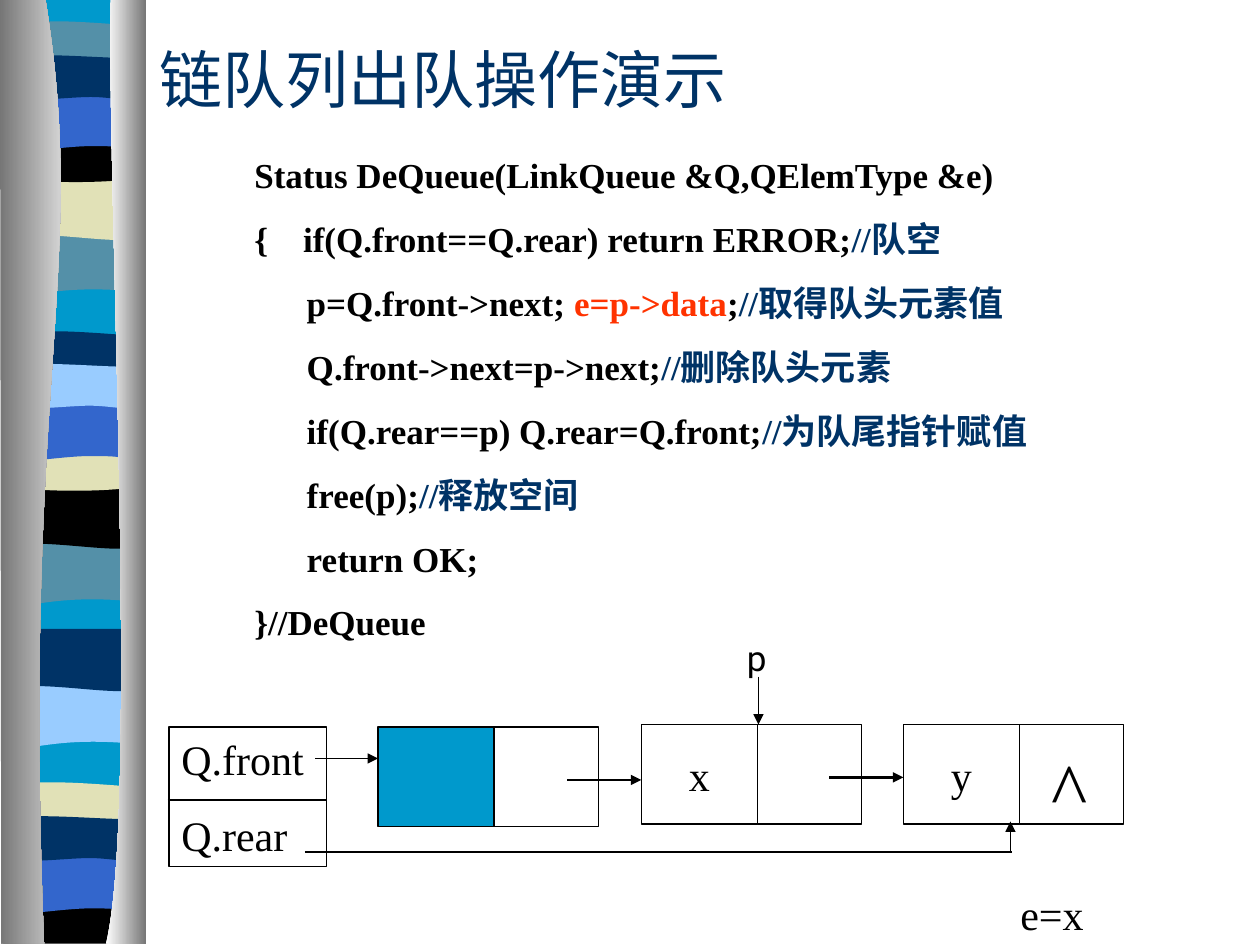
from dataclasses import dataclass

from lxml import etree
from pptx import Presentation
from pptx import util as u
from pptx.dml.color import RGBColor
from pptx.enum import shapes, text
from pptx.oxml.ns import qn

COLORS = {
    "black": "000000", "white": "FFFFFF", "gray": "767676", "navy": "003366",
    "cyan": "0099CC", "slate": "5490A8", "sand": "E1E1B7", "blue": "3366CC",
    "sky": "99CCFF", "red": "FF3300",
}
SERIF = "Times New Roman"
W = 1.08

OUTLINES = {
    "swell": [(W, 0), (W, .47), (.33, .39, .18, .55, 0, .47), (0, 0)],
    "ripple": [(W, 0), (W, .47), (.9, .55, .33, .41, 0, .47), (0, 0)],
    "lens": [(W, .05), (W, .29), (.9, .33, .18, .33, 0, .29), (0, .05),
             (.06, 0, .23, .01, .41, .01), (.59, .01, .94, .04, W, .05)],
    "bowl": [(W, 0), (W, .32), (.9, .38, .18, .38, 0, .32), (0, 0),
             (.66, .05, .85, 0, W, 0)],
    "floor": [(W, 0), (W, .37), (0, .37), (0, 0), (.66, .05, .85, 0, W, 0)],
    "arch": [(W, 0), (W, .47), (.91, .42, .84, .42, .66, .42),
             (.48, .42, .16, .47, 0, .47), (0, 0)],
    "cap": [(W, .05), (W, .36), (1.01, .41, .84, .36, .66, .36),
            (.48, .36, .11, .41, 0, .36), (0, .05),
            (.15, 0, .73, .05, .91, .05), (1.09, .05, 1.04, .05, W, .05)],
    "base": [(W, 0), (W, 7.48), (0, 7.48), (0, 0)],
    "left edge": [(.36, 0), (.71, 2.16, .17, 2.96, .35, 7.5), (.01, 7.5), (0, 0)],
    "right edge": [(.04, 0), (0, 1.26, .27, 6.47, 0, 7.5), (.32, 7.5), (.32, 0)],
}


@dataclass
class Band:
    outline: str
    left: float
    top: float
    color: str


@dataclass
class Run:
    text: str
    color: str = "black"


@dataclass
class Style:
    size: float
    font: str = SERIF
    bold: bool = False
    before: float = 0
    align: text.PP_ALIGN = text.PP_ALIGN.LEFT
    anchor: text.MSO_ANCHOR = text.MSO_ANCHOR.TOP
    wrap: bool = True


@dataclass
class Label:
    box: tuple
    paragraphs: list
    style: Style


@dataclass
class Node:
    left: float
    top: float
    value: str = ""
    fill: str = ""


@dataclass
class Link:
    start: tuple
    end: tuple
    width: float = 0.75
    arrow: bool = True


BANDS = [
    Band("base", .06, -.01, "cyan"),
    Band("swell", .06, 1.85, "slate"), Band("ripple", .06, 1.41, "sand"),
    Band("lens", .06, .16, "slate"), Band("bowl", .06, 1.08, "black"),
    Band("arch", .06, .74, "blue"), Band("cap", .06, .41, "navy"),
    Band("swell", .05, 4.31, "slate"), Band("ripple", .05, 3.86, "black"),
    Band("lens", .05, 2.62, "navy"), Band("bowl", .05, 3.53, "sand"),
    Band("arch", .05, 3.2, "blue"), Band("cap", .05, 2.86, "sky"),
    Band("swell", .06, 5.44, "sky"), Band("ripple", .06, 4.99, "navy"),
    Band("lens", .05, 6.2, "sand"), Band("floor", .05, 7.12, "black"),
    Band("arch", .05, 6.79, "blue"), Band("cap", .05, 6.45, "navy"),
]
CODE = [
    [Run("Status DeQueue(LinkQueue &Q,QElemType &e)")],
    [Run("{    if(Q.front==Q.rear) return ERROR;"), Run("//队空", "navy")],
    [Run("      p=Q.front->next; "), Run("e=p->data", "red"), Run(";"),
     Run("//取得队头元素值", "navy")],
    [Run("      Q.front->next=p->next;"), Run("//删除队头元素", "navy")],
    [Run("      if(Q.rear==p) Q.rear=Q.front;"), Run("//为队尾指针赋值", "navy")],
    [Run("      free(p);"), Run("//释放空间", "navy")],
    [Run("      return OK;")],
    [Run("}//DeQueue")],
]
LABELS = [
    Label((1.17, .25, 5.13, .75), [[Run("链队列出队操作演示", "navy")]],
          Style(36, anchor=text.MSO_ANCHOR.MIDDLE)),
    Label((1.92, 1.17, 7.17, 3.99), CODE, Style(20, bold=True, before=12.5)),
    Label((8.25, 5.83, .5, .84), [[Run("^")]], Style(44)),
    Label((5.83, 5, .83, .44), [[Run("p")]], Style(20, "Roboto")),
    Label((8, 7, .83, .5), [[Run("e=x")]], Style(24)),
]
NODES = [Node(3, 5.77, fill="cyan"), Node(5.09, 5.75, "x"), Node(7.17, 5.75, "y")]
LINKS = [
    Link((1.33, 6.35), (2.59, 6.35), arrow=False),
    Link((2.5, 6.02), (3, 6.02)),
    Link((4.5, 6.19), (5.09, 6.19)),
    Link((2.42, 6.76), (8.03, 6.76), 1, False),
    Link((8.02, 6.76), (8.02, 6.52), 1),
    Link((6.58, 6.17), (7.17, 6.17), 1.5),
    Link((6.02, 5.37), (6.02, 5.75)),
]


def rgb(name: str) -> RGBColor:
    return RGBColor.from_string(COLORS[name])


def draw_outline(s, name: str, left: float, top: float):
    outline = OUTLINES[name]
    points = [(u.Inches(left + seg[i]), u.Inches(top + seg[i + 1]))
              for seg in outline for i in range(0, len(seg), 2)]
    builder = s.shapes.build_freeform(*points[0])
    builder.add_line_segments(points[1:], close=True)
    sp = builder.convert_to_shape()
    steps = iter(list(sp._element.iter(qn("a:lnTo"))))
    for seg in outline[1:]:
        parts = [next(steps) for _ in range(len(seg) // 2)]
        if len(parts) == 3:
            parts[0].tag = qn("a:cubicBezTo")
            for part in parts[1:]:
                parts[0].append(part[0])
                part.getparent().remove(part)
    sp.shadow.inherit = False
    sp.line.fill.background()
    return sp


def draw_band(s, band: Band) -> None:
    sp = draw_outline(s, band.outline, band.left, band.top)
    sp.fill.solid()
    sp.fill.fore_color.rgb = rgb(band.color)


def draw_edge(s, name: str, left: float, stops: tuple) -> None:
    sp = draw_outline(s, name, left, -.01)
    sp.fill.gradient()
    sp.fill.gradient_angle = 0
    for stop, color in zip(sp.fill.gradient_stops, stops):
        stop.color.rgb = rgb(color)


def write(sp, paragraphs: list, style: Style) -> None:
    tf = sp.text_frame
    tf.word_wrap = style.wrap
    tf.vertical_anchor = style.anchor
    for i, runs in enumerate(paragraphs):
        p = tf.paragraphs[0] if i == 0 else tf.add_paragraph()
        p.alignment = style.align
        if i:
            p.space_before = u.Pt(style.before)
        for run in runs:
            r = p.add_run()
            r.text = run.text
            r.font.size = u.Pt(style.size)
            r.font.name = style.font
            r.font.bold = style.bold
            r.font.color.rgb = rgb(run.color)


def draw_label(s, label: Label) -> None:
    write(s.shapes.add_textbox(*map(u.Inches, label.box)), label.paragraphs, label.style)


def draw_box(s, box: tuple, fill: str = ""):
    sp = s.shapes.add_shape(shapes.MSO_SHAPE.RECTANGLE, *map(u.Inches, box))
    sp.shadow.inherit = False
    sp.line.color.rgb = rgb("black")
    sp.line.width = u.Pt(.75)
    if fill:
        sp.fill.solid()
        sp.fill.fore_color.rgb = rgb(fill)
    else:
        sp.fill.background()
    return sp


def draw_node(s, node: Node) -> None:
    data = draw_box(s, (node.left, node.top, .92, .79), node.fill)
    draw_box(s, (node.left + .92, node.top, .83, .79))
    if node.value:
        write(data, [[Run(node.value)]],
              Style(24, align=text.PP_ALIGN.CENTER, anchor=text.MSO_ANCHOR.MIDDLE, wrap=False))


def draw_link(s, link: Link) -> None:
    line = s.shapes.add_connector(shapes.MSO_CONNECTOR.STRAIGHT,
                                  *map(u.Inches, link.start + link.end))
    line.line.color.rgb = rgb("black")
    line.line.width = u.Pt(link.width)
    sp_pr = line._element.spPr
    if link.arrow:
        etree.SubElement(sp_pr.find(qn("a:ln")), qn("a:tailEnd"), type="triangle")
    etree.SubElement(sp_pr, qn("a:effectLst"))


def main() -> None:
    prs = Presentation()
    prs.slide_width, prs.slide_height = u.Inches(10), u.Inches(7.5)
    s = prs.slides.add_slide(prs.slide_layouts[6])
    for band in BANDS:
        draw_band(s, band)
    draw_edge(s, "left edge", 0, ("gray", "white"))
    draw_edge(s, "right edge", .84, ("white", "gray"))
    pointers = draw_box(s, (1.34, 5.77, 1.25, 1.11))
    write(pointers, [[Run("Q.front")], [Run("Q.rear")]], Style(24, before=15))
    for node in NODES:
        draw_node(s, node)
    for link in LINKS:
        draw_link(s, link)
    for label in LABELS:
        draw_label(s, label)
    prs.save("out.pptx")


if __name__ == "__main__":
    main()
